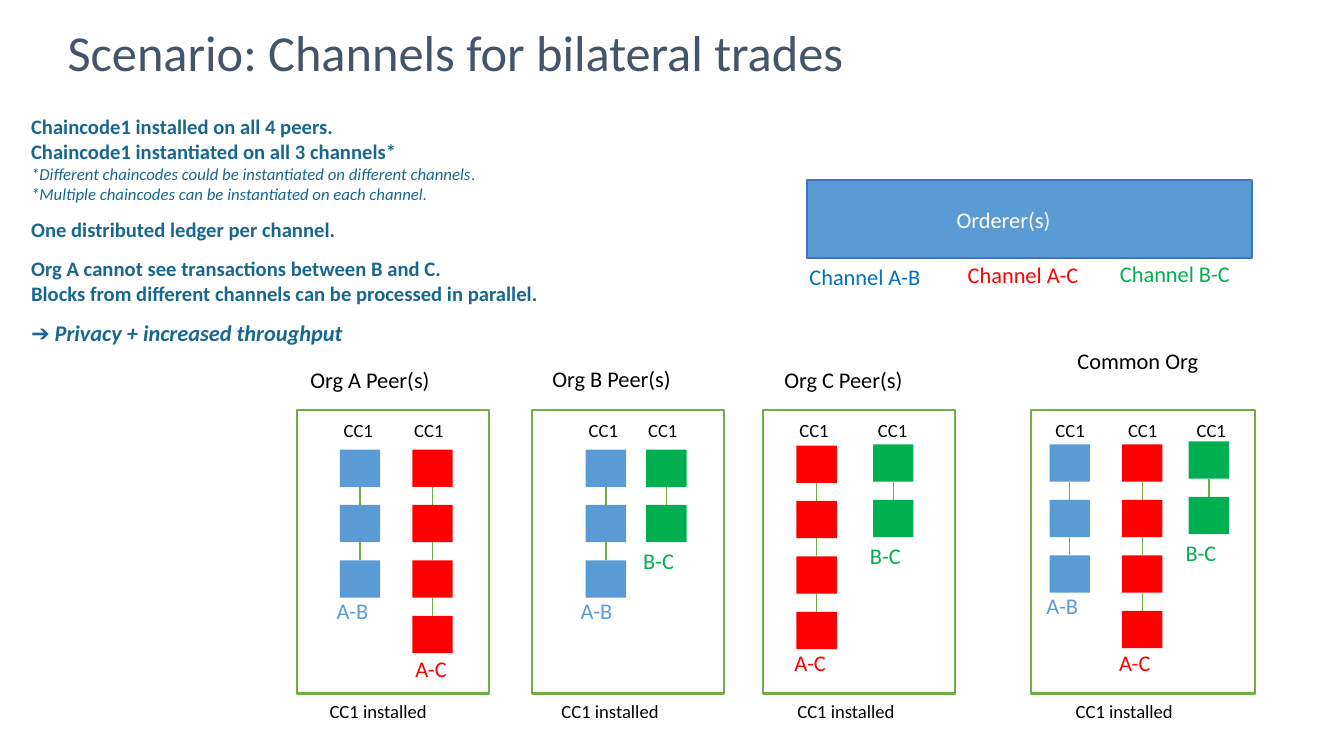
from typing import NamedTuple

from lxml.etree import SubElement
from pptx import Presentation
from pptx.dml.color import RGBColor
from pptx.enum.shapes import MSO_CONNECTOR as CONNECTOR, MSO_SHAPE as SHAPE
from pptx.enum.text import MSO_ANCHOR as ANCHOR, MSO_AUTO_SIZE as AUTO_SIZE, PP_ALIGN as ALIGN
from pptx.oxml.ns import qn
from pptx.util import Inches, Pt

FONT = "Calibri"
COLORS = {
    "title": "44546A",
    "notes": "196790",
    "black": "000000",
    "white": "FFFFFF",
    "orderer_line": "4472C4",
    "green_line": "70AD47",
    "channel_blue": "0070C0",
    "A-B": "5B9BD5",
    "A-C": "FF0000",
    "B-C": "00B050",
}
BLOCK_WIDTH, BLOCK_HEIGHT, BLOCK_PITCH = 0.4, 0.37, 0.55
PANEL_TOP, PANEL_HEIGHT = 4.07, 2.81
CODE_TOP, INSTALLED_TOP = 4.11, 6.89
BODY_SIZE, SMALL_SIZE = 16, 13.3
SECTION_GAP = 9.8


class Chain(NamedTuple):
    """One channel's ledger on a peer, with the places of its labels."""

    channel: str
    blocks: int
    left: float
    top: float
    code_left: float
    label_left: float
    label_top: float


class Panel(NamedTuple):
    """One organisation's frame, heading and chains."""

    heading: str
    heading_at: tuple
    align: ALIGN
    left: float
    width: float
    installed_left: float
    chains: tuple


PANELS = (
    Panel("Org A Peer(s)", (2.98, 3.58, 1.78), ALIGN.LEFT, 2.95, 1.9, 3.17, (
        Chain("A-B", 3, 3.37, 4.46, 3.31, 3.24, 5.88),
        Chain("A-C", 4, 4.09, 4.46, 4.01, 4.02, 6.45),
    )),
    Panel("Org B Peer(s)", (5.38, 3.57, 1.78), ALIGN.LEFT, 5.28, 1.9, 5.47, (
        Chain("A-B", 3, 5.81, 4.46, 5.74, 5.66, 5.88),
        Chain("B-C", 2, 6.41, 4.46, 6.33, 6.28, 5.38),
    )),
    Panel("Org C Peer(s)", (7.68, 3.58, 1.82), ALIGN.LEFT, 7.57, 1.9, 7.81, (
        Chain("A-C", 4, 7.9, 4.42, 7.83, 7.78, 6.39),
        Chain("B-C", 2, 8.66, 4.41, 8.61, 8.53, 5.33),
    )),
    Panel("Common Org", (10.25, 3.39, 2.07), ALIGN.CENTER, 10.23, 2.22, 10.57, (
        Chain("A-B", 3, 10.41, 4.41, 10.37, 10.28, 5.83),
        Chain("A-C", 4, 11.13, 4.41, 11.09, 11.0, 6.39),
        Chain("B-C", 2, 11.79, 4.38, 11.77, 11.66, 5.3),
    )),
)
CHANNELS = (
    ("Channel A-B", 7.93, 2.56, "channel_blue"),
    ("Channel A-C", 9.5, 2.54, "A-C"),
    ("Channel B-C", 11.01, 2.53, "B-C"),
)
NOTES = (
    (0, [("Chaincode1 installed on all 4 peers.", 14.7, True, False)]),
    (0, [("Chaincode1 instantiated on all 3 channels*", 14.7, True, False)]),
    (0, [("*Different chaincodes could be instantiated on different channels", 12, False, True),
         (".", 12, False, False)]),
    (0, [("*Multiple chaincodes can be instantiated on each channel.", 12, False, True)]),
    (SECTION_GAP, [("One distributed ledger per channel.", 14.7, True, False)]),
    (SECTION_GAP, [("Org A cannot see transactions between B and C.", 14.7, True, False)]),
    (0, [("Blocks from different channels can be processed in parallel.", 14.7, True, False)]),
    (SECTION_GAP, [("➔ ", 16, True, False), ("Privacy + increased throughput", 16, True, True)]),
)


def color(name):
    """Return the named colour."""
    return RGBColor.from_string(COLORS[name])


def format_run(run, size, color_name, bold=False, italic=False):
    """Set the font of a run."""
    run.font.name = FONT
    run.font.size = Pt(size)
    run.font.color.rgb = color(color_name)
    run.font.bold = bold
    run.font.italic = italic


def add_text_frame(slide, left, top, width, height, wrap=True):
    """Add an empty text box and return its text frame."""
    box = slide.shapes.add_textbox(Inches(left), Inches(top), Inches(width), Inches(height))
    text_frame = box.text_frame
    text_frame.word_wrap = wrap
    text_frame.auto_size = AUTO_SIZE.SHAPE_TO_FIT_TEXT
    return text_frame


def add_label(slide, text, left, top, width, color_name="black", size=BODY_SIZE,
              align=ALIGN.LEFT, wrap=True):
    """Add a one-line label."""
    height = 0.37 if size == BODY_SIZE else 0.33
    text_frame = add_text_frame(slide, left, top, width, height, wrap)
    text_frame.text = text
    paragraph = text_frame.paragraphs[0]
    paragraph.alignment = align
    format_run(paragraph.runs[0], size, color_name)


def add_rectangle(slide, left, top, width, height, fill=None, line=None):
    """Add a rectangle with an optional fill and outline."""
    shape = slide.shapes.add_shape(
        SHAPE.RECTANGLE, Inches(left), Inches(top), Inches(width), Inches(height))
    shape.shadow.inherit = False
    if fill:
        shape.fill.solid()
        shape.fill.fore_color.rgb = color(fill)
    else:
        shape.fill.background()
    if line:
        shape.line.color.rgb = color(line)
        shape.line.width = Pt(1.5)
    else:
        shape.line.fill.background()


def add_link(slide, x, top, bottom):
    """Add a vertical line between two blocks."""
    link = slide.shapes.add_connector(
        CONNECTOR.STRAIGHT, Inches(x), Inches(top), Inches(x), Inches(bottom))
    link.line.color.rgb = color("green_line")
    link.line.width = Pt(1)
    SubElement(link._element.spPr, qn("a:effectLst"))


def add_chain(slide, chain):
    """Add a column of linked blocks with its labels."""
    for index in range(chain.blocks):
        top = chain.top + index * BLOCK_PITCH
        add_rectangle(slide, chain.left, top, BLOCK_WIDTH, BLOCK_HEIGHT, fill=chain.channel)
        if index:
            add_link(slide, chain.left + BLOCK_WIDTH / 2, top - BLOCK_PITCH + BLOCK_HEIGHT, top)
    add_label(slide, "CC1", chain.code_left, CODE_TOP, 0.66, size=SMALL_SIZE)
    add_label(slide, chain.channel, chain.label_left, chain.label_top, 0.52,
              chain.channel, wrap=False)


def add_panel(slide, panel):
    """Add an organisation's frame with everything in it."""
    add_rectangle(slide, panel.left, PANEL_TOP, panel.width, PANEL_HEIGHT, line="green_line")
    add_label(slide, panel.heading, *panel.heading_at, align=panel.align)
    add_label(slide, "CC1 installed", panel.installed_left, INSTALLED_TOP, 1.52, size=SMALL_SIZE)
    for chain in panel.chains:
        add_chain(slide, chain)


def add_notes_text(slide):
    """Add the explanatory text on the left."""
    text_frame = add_text_frame(slide, 0.21, 1.08, 6.44, 2.66)
    for index, (gap, pieces) in enumerate(NOTES):
        paragraph = text_frame.add_paragraph() if index else text_frame.paragraphs[0]
        paragraph.space_before = Pt(gap)
        for text, size, bold, italic in pieces:
            run = paragraph.add_run()
            run.text = text
            format_run(run, size, "notes", bold, italic)


def set_title(slide, text):
    """Place and format the slide title."""
    title = slide.shapes.title
    title.left, title.top = Inches(0.57), Inches(0.28)
    title.width, title.height = Inches(11.5), Inches(0.53)
    text_frame = title.text_frame
    text_frame.text = text
    text_frame.auto_size = AUTO_SIZE.NONE
    text_frame.vertical_anchor = ANCHOR.MIDDLE
    paragraph = text_frame.paragraphs[0]
    paragraph.alignment = ALIGN.LEFT
    paragraph.line_spacing = 0.9
    format_run(paragraph.runs[0], 36, "title")


def main():
    """Build and save the slide."""
    presentation = Presentation()
    presentation.slide_width, presentation.slide_height = Inches(13.33), Inches(7.5)
    slide = presentation.slides.add_slide(presentation.slide_layouts[5])
    set_title(slide, "Scenario: Channels for bilateral trades")
    add_notes_text(slide)
    add_rectangle(slide, 8, 1.79, 4.42, 0.77, fill="A-B", line="orderer_line")
    add_label(slide, "Orderer(s)", 9.39, 2, 1.67, "white")
    for text, left, top, color_name in CHANNELS:
        add_label(slide, text, left, top, 1.93, color_name)
    for panel in PANELS:
        add_panel(slide, panel)
    presentation.save("out.pptx")


if __name__ == "__main__":
    main()
